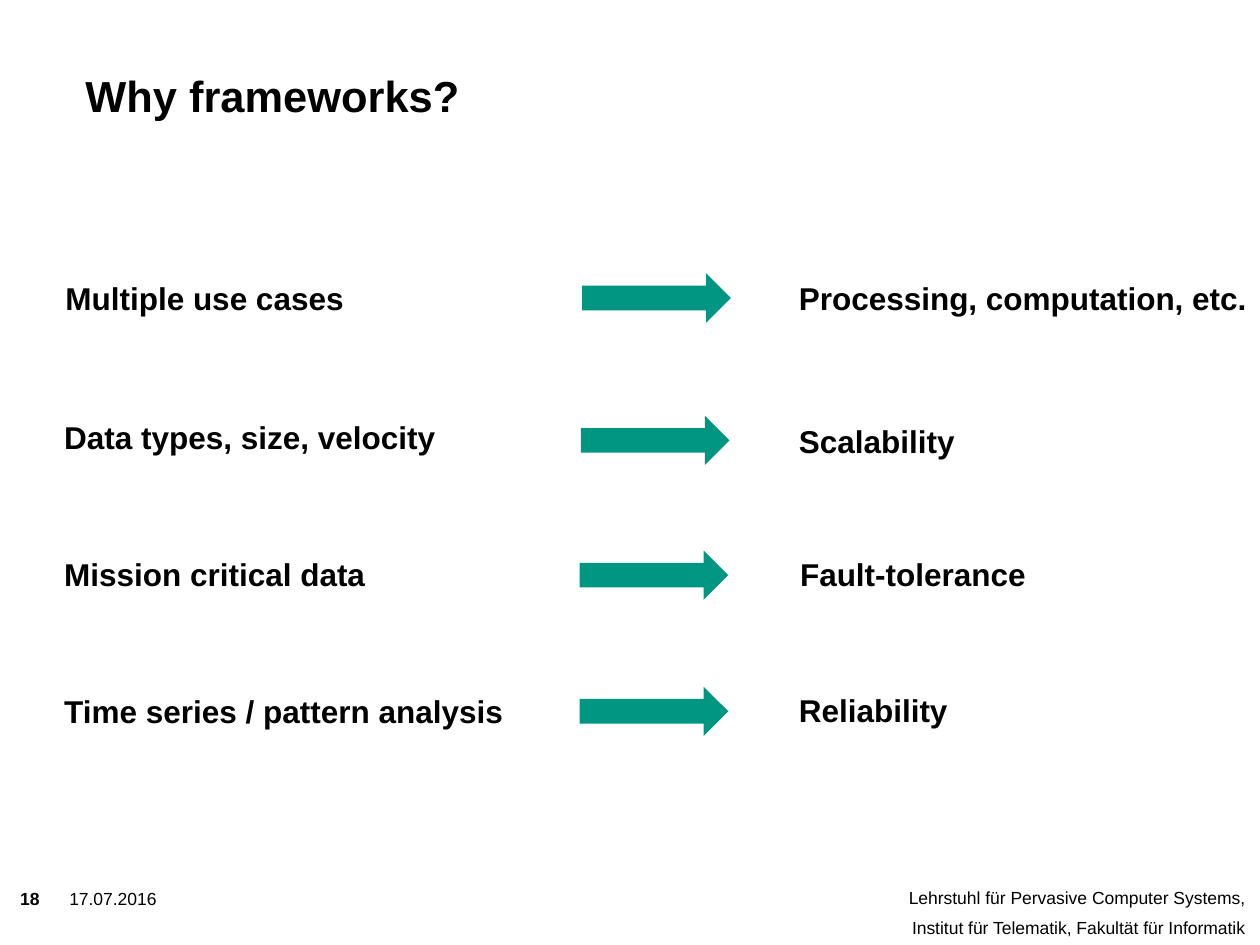
from pptx import Presentation
from pptx.dml.color import RGBColor
from pptx.enum.shapes import MSO_SHAPE
from pptx.enum.text import MSO_ANCHOR, PP_ALIGN
from pptx.util import Inches, Pt

RIGHT_ARROW = MSO_SHAPE.RIGHT_ARROW
TOP, MIDDLE = MSO_ANCHOR.TOP, MSO_ANCHOR.MIDDLE
LEFT, RIGHT = PP_ALIGN.LEFT, PP_ALIGN.RIGHT

COLORS = {"text": "000000", "arrow": "009682"}
FORMATS = {
    "title": {"size": Pt(24.8), "bold": True},
    "label": {"size": Pt(18), "bold": True},
    "footer": {"size": Pt(10), "bold": False},
    "number": {"size": Pt(10), "bold": True},
}
ROW_HEIGHT = 0.39

# Each part of a row: text, left, top, width; the arrow has left and top only
ROWS = [
    (("Multiple use cases", 0.43, 2.17, 3.5), (4.62, 2.17),
     ("Processing, computation, etc.", 6.25, 2.17, 4)),
    (("Data types, size, velocity", 0.42, 3.27, 3.43), (4.61, 3.3),
     ("Scalability", 6.25, 3.3, 3.28)),
    (("Mission critical data", 0.42, 4.36, 3.03), (4.6, 4.37),
     ("Fault-tolerance", 6.26, 4.36, 1.99)),
    (("Time series / pattern analysis", 0.42, 5.45, 3.7), (4.6, 5.45),
     ("Reliability", 6.25, 5.44, 3.61)),
]


def add_text(slide, lines, box, style, insets=(0, 0), align=LEFT, anchor=TOP):
    """Place one paragraph per line; insets are horizontal and vertical."""
    shape = slide.shapes.add_textbox(*map(Inches, box))
    frame = shape.text_frame
    horizontal, vertical = map(Inches, insets)
    frame_format = {
        "word_wrap": True, "vertical_anchor": anchor,
        "margin_left": horizontal, "margin_right": horizontal,
        "margin_top": vertical, "margin_bottom": vertical,
    }
    for name, value in frame_format.items():
        setattr(frame, name, value)
    for index, line in enumerate(lines):
        paragraph = frame.paragraphs[0] if index == 0 else frame.add_paragraph()
        paragraph.alignment = align
        if index:
            paragraph.space_before = Pt(5)
        run = paragraph.add_run()
        run.text = line
        for name, value in {"name": "Arial", **FORMATS[style]}.items():
            setattr(run.font, name, value)
        run.font.color.rgb = RGBColor.from_string(COLORS["text"])


def add_label(slide, text, left, top, width):
    add_text(slide, [text], (left, top, width, ROW_HEIGHT), "label",
             insets=(0.09, 0.04), anchor=MIDDLE)


def add_arrow(slide, left, top):
    arrow = slide.shapes.add_shape(
        RIGHT_ARROW, Inches(left), Inches(top), Inches(1.18), Inches(ROW_HEIGHT))
    arrow.shadow.inherit = False
    arrow.fill.solid()
    arrow.fill.fore_color.rgb = RGBColor.from_string(COLORS["arrow"])
    arrow.line.fill.background()


def add_rows(slide):
    for need, arrow, answer in ROWS:
        add_label(slide, *need)
        add_arrow(slide, *arrow)
        add_label(slide, *answer)


def add_footer(slide, left, top):
    add_text(slide, ["18"], (left, top, 0.36, 0.24), "number")
    add_text(slide, ["17.07.2016"], (left + 0.39, top, 0.94, 0.39), "footer")
    add_text(slide, ["Lehrstuhl für Pervasive Computer Systems,",
                     "Institut für Telematik, Fakultät für Informatik"],
             (left + 6.24, top - 0.01, 3.48, 0.39), "footer", align=RIGHT)


def main():
    presentation = Presentation()
    presentation.slide_width = Inches(10)
    presentation.slide_height = Inches(7.5)
    slide = presentation.slides.add_slide(presentation.slide_layouts[6])
    add_text(slide, ["Why frameworks?"], (0.58, 0.5, 6.83, 0.52), "title",
             insets=(0.1, 0.05))
    add_rows(slide)
    add_footer(slide, 0.16, 7.05)
    presentation.save("out.pptx")


if __name__ == "__main__":
    main()
